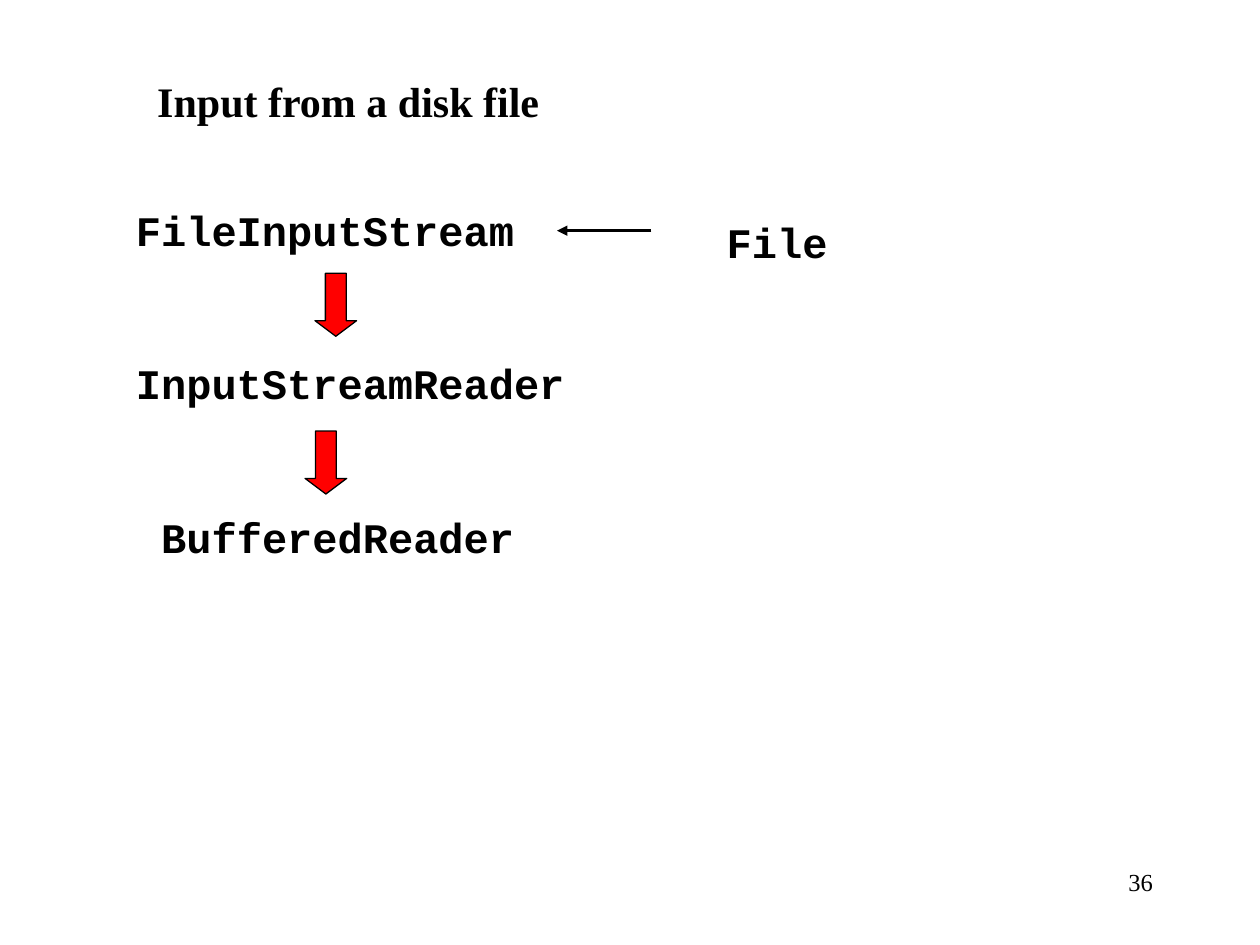
from lxml import etree
from pptx import Presentation, util as u
from pptx.dml.color import RGBColor
from pptx.enum import shapes, text
from pptx.oxml.ns import qn

COLORS = {"ink": "000000", "flow": "FF0000"}
SERIF = "Times New Roman"
MONO = "Courier New"


class SlideBuilder:
    """Holds the style and the current slide."""

    def __init__(self, slide):
        self.slide = slide
        self.ink = RGBColor.from_string(COLORS["ink"])
        self.flow = RGBColor.from_string(COLORS["flow"])

    def label(self, lines, box, font, size=24, bold=True, wrap=False,
              align=text.PP_ALIGN.LEFT, gap=0):
        frame = self.slide.shapes.add_textbox(*map(u.Cm, box)).text_frame
        frame.word_wrap = wrap
        for index, (words, indent) in enumerate(lines):
            line = frame.add_paragraph() if index else frame.paragraphs[0]
            line.alignment = align
            if index:
                line.space_before = u.Pt(gap)
            if indent:
                properties = line._p.get_or_add_pPr()
                properties.set("marL", str(u.Cm(indent)))
                properties.set("indent", "0")
            run = line.add_run()
            run.text = words
            run.font.name = font
            run.font.size = u.Pt(size)
            run.font.bold = bold
            run.font.color.rgb = self.ink

    def down_arrow(self, left, top):
        arrow = self.slide.shapes.add_shape(
            shapes.MSO_SHAPE.DOWN_ARROW,
            u.Cm(left), u.Cm(top), u.Cm(0.84), u.Cm(1.27))
        arrow.adjustments[0] = 0.5
        arrow.adjustments[1] = 0.375
        arrow.shadow.inherit = False
        arrow.fill.solid()
        arrow.fill.fore_color.rgb = self.flow
        arrow.line.color.rgb = self.ink
        arrow.line.width = u.Pt(0.75)

    def pointer(self, start, end):
        pointer = self.slide.shapes.add_connector(
            shapes.MSO_CONNECTOR.STRAIGHT, *map(u.Cm, start + end))
        pointer.line.color.rgb = self.ink
        pointer.line.width = u.Pt(1.5)
        etree.SubElement(pointer.line._get_or_add_ln(), qn("a:tailEnd"), type="triangle")
        etree.SubElement(pointer._element.spPr, qn("a:effectLst"))


def main():
    deck = Presentation()
    deck.slide_width, deck.slide_height = u.Cm(25.4), u.Cm(19.05)
    builder = SlideBuilder(deck.slides.add_slide(deck.slide_layouts[6]))

    builder.label([("Input from a disk file", 0)], (2.92, 1.4, 8.23, 1.27), SERIF)
    readers = [("FileInputStream", 0), ("InputStreamReader", 0), ("BufferedReader", 0.51)]
    builder.label(readers, (2.49, 3.99, 9.14, 7.37), MONO, gap=59)
    for left, top in [(6.35, 5.51), (6.15, 8.69)]:
        builder.down_arrow(left, top)
    builder.pointer((13.13, 4.65), (11.23, 4.65))
    builder.label([("File", 0)], (14.4, 4.24, 2.54, 1.27), MONO)
    builder.label([("36", 0)], (18.21, 17.35, 5.28, 1.27), SERIF, size=14,
                  bold=False, wrap=True, align=text.PP_ALIGN.RIGHT)
    deck.save("out.pptx")


if __name__ == "__main__":
    main()
